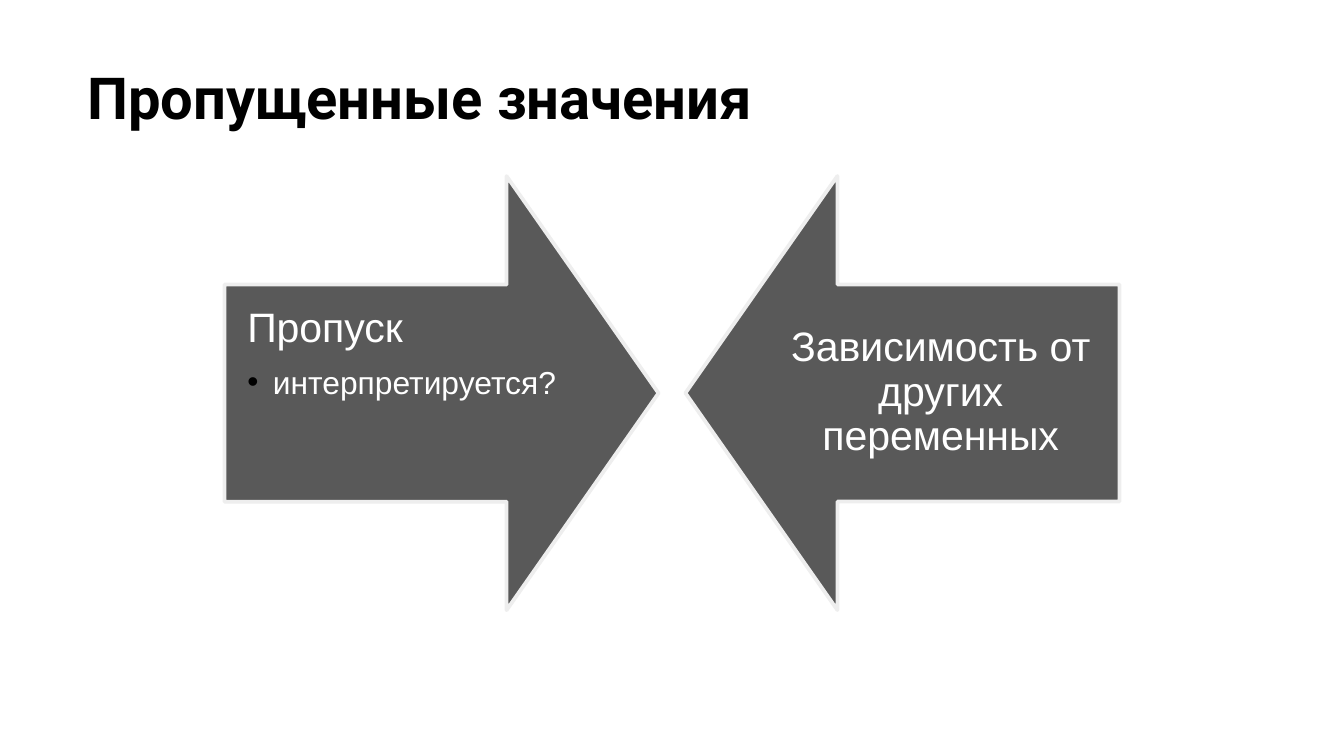
from lxml.etree import SubElement as Sub
from pptx import Presentation
from pptx.dml.color import RGBColor as RGB
from pptx.enum.shapes import MSO_SHAPE as SHAPE
from pptx.enum.text import MSO_ANCHOR as ANCHOR, PP_ALIGN as ALIGN
from pptx.oxml.ns import qn
from pptx.util import Inches, Pt

TITLE = "Пропущенные значения"
ARROWS = [
    {"turn": 270, "align": ALIGN.LEFT, "anchor": ANCHOR.TOP,
     "lines": [("Пропуск", 22, False), ("интерпретируется?", 17, True)]},
    {"turn": 90, "align": ALIGN.CENTER, "anchor": ANCHOR.MIDDLE,
     "lines": [("Зависимость от других переменных", 22, False)]},
]
COLORS = {"ink": "000000", "fill": "595959", "edge": "EEEEEE", "text": "FFFFFF"}
WIDE = 10
HIGH = WIDE * 9 / 16
SIDE, GAP, TOP = 3.23, 0.2, 1.31
HEAD = 0.35
LABEL = 2.66


def color(name):
    return RGB.from_string(COLORS[name])


def add_box(slide, area, inset, anchor=ANCHOR.TOP):
    frame = slide.shapes.add_textbox(*map(Inches, area)).text_frame
    frame.word_wrap = True
    frame.vertical_anchor = anchor
    frame.margin_left = frame.margin_right = Inches(inset)
    frame.margin_top = frame.margin_bottom = Inches(inset)
    return frame


def set_font(para, name, size, tint, bold=False):
    font = para.font
    font.name, font.size, font.bold = name, Pt(size), bold
    font.color.rgb = color(tint)


def add_dot(para):
    props = para._p.get_or_add_pPr()
    props.set("marL", str(Inches(0.19)))
    props.set("indent", str(-Inches(0.19)))
    tint = Sub(props, qn("a:buClr"))
    Sub(tint, qn("a:srgbClr"), val=COLORS["ink"])
    Sub(props, qn("a:buFont"), typeface="Arial")
    Sub(props, qn("a:buChar"), char="•")


def add_arrow(slide, left, turn):
    arrow = slide.shapes.add_shape(
        SHAPE.DOWN_ARROW, *map(Inches, (left, TOP, SIDE, SIDE)))
    arrow.rotation = turn
    arrow.adjustments[0] = 0.5
    arrow.adjustments[1] = HEAD
    arrow.shadow.inherit = False
    arrow.fill.solid()
    arrow.fill.fore_color.rgb = color("fill")
    arrow.line.color.rgb = color("edge")
    arrow.line.width = Pt(2)


def add_label(slide, left, item):
    area = (left, TOP + SIDE / 4, LABEL, SIDE / 2)
    frame = add_box(slide, area, 0.17, item["anchor"])
    for i, (text, size, dot) in enumerate(item["lines"]):
        para = frame.add_paragraph() if i else frame.paragraphs[0]
        para.text = text
        para.alignment = item["align"]
        para.line_spacing = 0.9
        para.space_after = Pt(3 if dot else 8)
        if dot:
            para.level = 1
            add_dot(para)
        set_font(para, "Arial", size, "text")


def main():
    deck = Presentation()
    deck.slide_width, deck.slide_height = Inches(WIDE), Inches(HIGH)
    slide = deck.slides.add_slide(deck.slide_layouts[6])

    head = add_box(slide, (0.55, 0.36, 9.32, 1.2), 0.1).paragraphs[0]
    head.text = TITLE
    set_font(head, "Roboto", 31, "ink", True)

    start = (WIDE - 2 * SIDE - GAP) / 2
    for i, item in enumerate(ARROWS):
        left = start + i * (SIDE + GAP)
        add_arrow(slide, left, item["turn"])
        add_label(slide, left + i * (SIDE - LABEL), item)

    deck.save("out.pptx")


if __name__ == "__main__":
    main()
